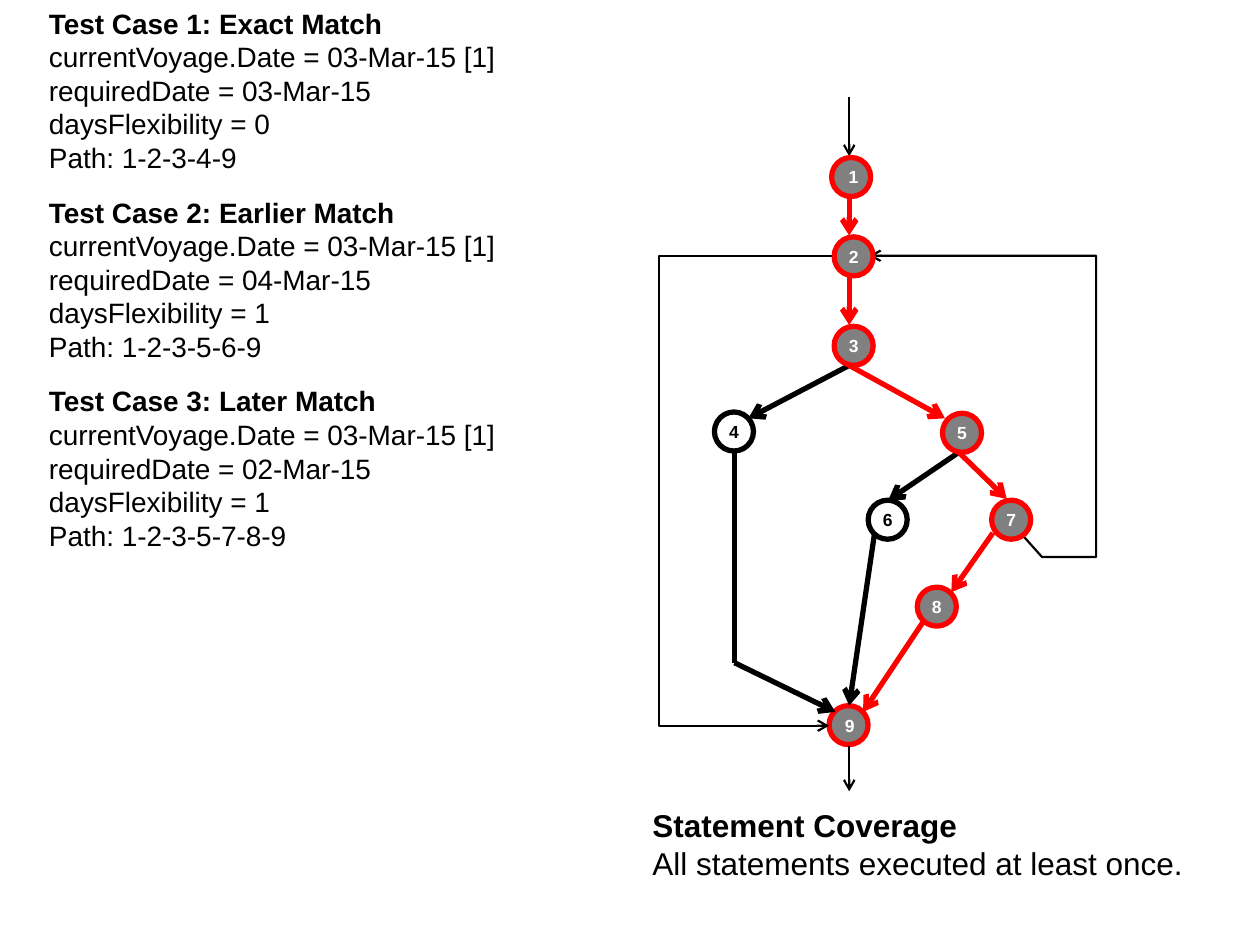
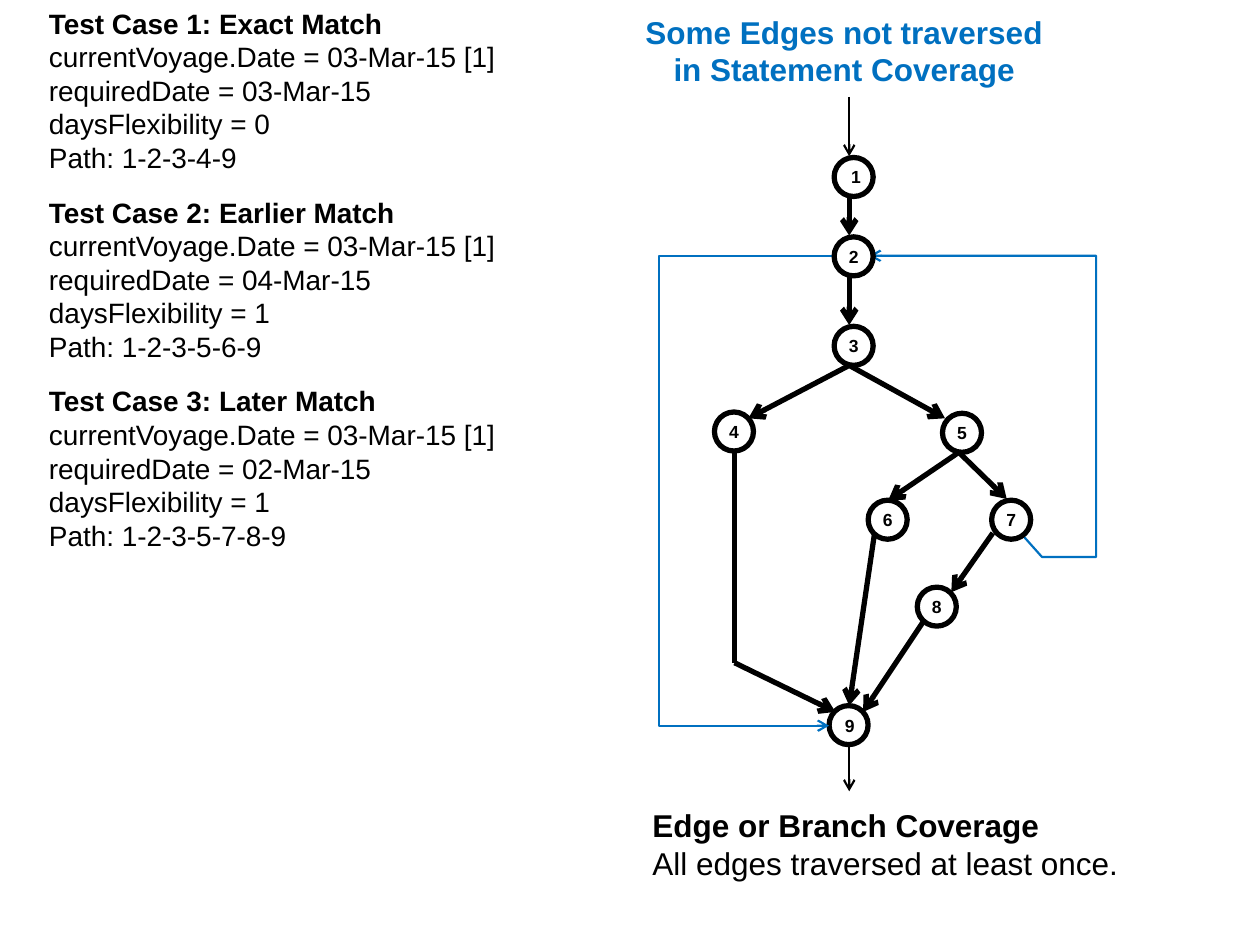
from lxml import etree
from pptx import Presentation
from pptx.dml.color import RGBColor
from pptx.enum.shapes import MSO_CONNECTOR, MSO_SHAPE
from pptx.enum.text import MSO_ANCHOR, PP_ALIGN
from pptx.oxml.ns import qn
from pptx.util import Inches, Pt

STRAIGHT = MSO_CONNECTOR.STRAIGHT
OVAL = MSO_SHAPE.OVAL
MIDDLE = MSO_ANCHOR.MIDDLE
LEFT, CENTER = PP_ALIGN.LEFT, PP_ALIGN.CENTER

FONT = "Arial"
BLACK, WHITE, GRAY, RED, BLUE = "000000", "FFFFFF", "808080", "FF0000", "0070C0"
THICK, THIN = 3, 1.25
SIZE = 0.31  # node diameter
hue = RGBColor.from_string

# Grid of 10 columns by 7.5 rows, one inch each
# Node corners: column, row
NODES = {
    4: (5.67, 3.27), 6: (6.89, 3.97), 8: (7.28, 4.66), 9: (6.58, 5.6),
    1: (6.62, 1.25), 2: (6.62, 1.88), 3: (6.62, 2.59), 5: (7.48, 3.28),
    7: (7.87, 3.97),
}
BACK, FRONT = (4, 6, 8, 9), (1, 2, 3, 5, 7)

# Thick edges: from node, to node, start, end, arrow
MID = 6.74
EDGES = [
    (1, 2, (MID, 1.56), (MID, 1.87), True),
    (2, 3, (MID, 2.19), (MID, 2.58), True),
    (3, 4, (MID, 2.9), (5.94, 3.32), True),
    (3, 5, (MID, 2.9), (7.5, 3.32), True),
    (5, 6, (7.61, 3.59), (7.05, 3.97), True),
    (5, 7, (7.61, 3.59), (7.99, 3.96), True),
    (6, 9, (6.94, 4.24), (MID, 5.6), True),
    (4, 9, (5.83, 3.59), (5.83, 5.26), False),
    (4, 9, (5.83, 5.26), (6.63, 5.65), True),
    (8, 9, (7.33, 4.93), (6.85, 5.65), True),
    (7, 8, (7.88, 4.23), (7.55, 4.7), True),
]
# Thin routes: entry and exit, then the two loops
ENDS = [[(MID, 0.77), (MID, 1.24)], [(MID, 5.92), (MID, 6.28)]]
LOOPS = [
    [(8.1, 4.23), (8.27, 4.42), (8.7, 4.42), (8.7, 2.03), (6.9, 2.03)],
    [(6.6, 2.03), (5.23, 2.03), (5.23, 5.76), (6.58, 5.76)],
]

# Test cases: name, required day, flexibility, path
CASES = [
    ("Exact", "03", 0, "1-2-3-4-9"),
    ("Earlier", "04", 1, "1-2-3-5-6-9"),
    ("Later", "02", 1, "1-2-3-5-7-8-9"),
]
TESTS = [
    [f"Test Case {num}: {name} Match",
     "currentVoyage.Date = 03-Mar-15 [1]",
     f"requiredDate = {day}-Mar-15",
     f"daysFlexibility = {flex}",
     f"Path: {path}"]
    for num, (name, day, flex, path) in enumerate(CASES, 1)
]

# Slides: caption, heading, path marked in red, loop colour, column of node 1
SLIDES = [
    (["Statement Coverage", "All statements executed at least once."],
     None, [1, 2, 3, 5, 7, 8, 9], BLACK, 6.6),
    (["Edge or Branch Coverage", "All edges traversed at least once."],
     "Some Edges not traversed in Statement Coverage", [], BLUE, 6.62),
]


def route(slide, spots, color, width, arrow=True):
    """Draw a line through the spots: a connector, or a bent outline."""
    spots = [(Inches(x), Inches(y)) for x, y in spots]
    if len(spots) == 2:
        line = slide.shapes.add_connector(STRAIGHT, *spots[0], *spots[1])
        etree.SubElement(line._element.spPr, qn("a:effectLst"))
    else:
        pen = slide.shapes.build_freeform(*spots[0])
        pen.add_line_segments(spots[1:], close=False)
        line = pen.convert_to_shape()
        line.fill.background()
        line.shadow.inherit = False
    line.line.color.rgb = hue(color)
    line.line.width = Pt(width)
    if arrow:
        etree.SubElement(line.line._get_or_add_ln(), qn("a:tailEnd"), type="arrow")


def write(slide, area, groups, size, color=BLACK, align=LEFT):
    """Write groups of lines, each led by a bold line."""
    frame = slide.shapes.add_textbox(*map(Inches, area)).text_frame
    frame.word_wrap = True
    frame.text = "\n".join(row for group in groups for row in group)
    paras = iter(frame.paragraphs)
    for g, group in enumerate(groups):
        for r, para in zip(range(len(group)), paras):
            para.alignment = align
            if g and r == 0:
                para.space_before = Pt(12)
            font = para.runs[0].font
            font.name, font.size, font.bold = FONT, Pt(size), r == 0
            font.color.rgb = hue(color)


deck = Presentation()
deck.slide_width, deck.slide_height = Inches(10), Inches(7.5)

for caption, head, path, tint, first in SLIDES:
    slide = deck.slides.add_slide(deck.slide_layouts[6])
    steps = list(zip(path, path[1:]))

    for layer in (BACK, FRONT):
        # Nodes
        for num in layer:
            x, y = NODES[num]
            if num == 1:
                x = first
            hit = num in path
            node = slide.shapes.add_shape(OVAL, *map(Inches, (x, y, SIZE, SIZE)))
            node.shadow.inherit = False
            node.fill.solid()
            node.fill.fore_color.rgb = hue(GRAY if hit else WHITE)
            node.line.color.rgb = hue(RED if hit else BLACK)
            node.line.width = Pt(THICK)
            frame = node.text_frame
            frame.vertical_anchor = MIDDLE
            frame.margin_left = Inches(0.02 if num == 9 else 0.04)
            frame.margin_right = Inches(0 if num == 9 else 0.04)
            frame.text = " 1" if num == 1 else str(num)
            para = frame.paragraphs[0]
            para.alignment = CENTER
            font = para.runs[0].font
            font.name, font.size, font.bold = FONT, Pt(10), True
            font.color.rgb = hue(WHITE if hit else BLACK)

        # Edges lie between the two layers of nodes
        if layer == BACK:
            for start, end, tail, tip, arrow in EDGES:
                color = RED if (start, end) in steps else BLACK
                route(slide, [tail, tip], color, THICK, arrow)
            for spots in ENDS:
                route(slide, spots, BLACK, THIN)
            for spots in LOOPS:
                route(slide, spots, tint, THIN)

    # Texts
    write(slide, (0.29, 0, 4.48, 4.48), TESTS, 16)
    write(slide, (5.08, 6.35, 4.45, 0.71), [caption], 18)
    if head:
        write(slide, (4.9, 0.05, 3.6, 0.71), [[head]], 18, BLUE, CENTER)

deck.save("out.pptx")
